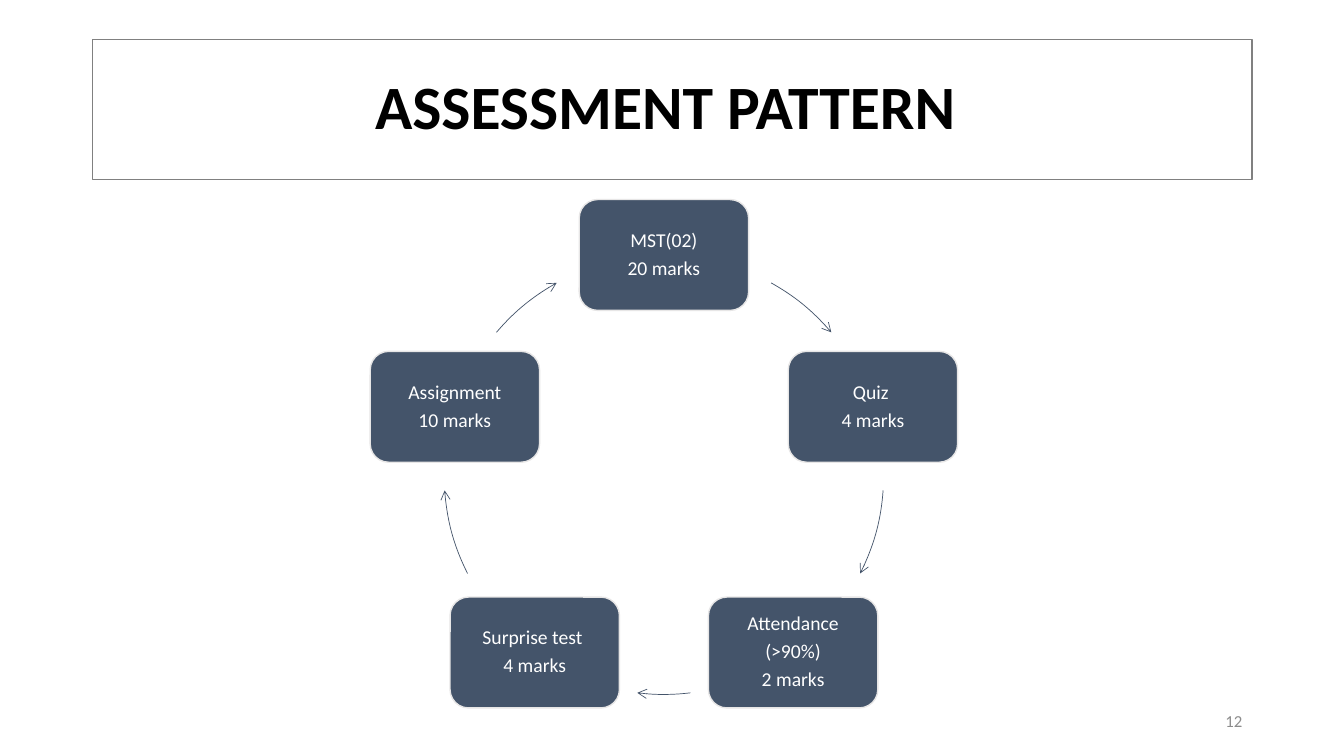
from math import cos, radians, sin

from lxml import etree
from pptx import Presentation, util as u
from pptx.dml.color import RGBColor
from pptx.enum import shapes, text
from pptx.oxml.ns import qn

TITLE = "ASSESSMENT PATTERN "
PAGE = "12"
STEPS = [
    ["MST(02)", "20 marks"],
    ["Quiz ", "4 marks"],
    ["Attendance", "(>90%)", "2 marks"],
    ["Surprise test ", "4 marks"],
    ["Assignment", "10 marks"],
]
# Start and end of each arrow, in degrees clockwise from the right
ARCS = [(-60.8, -40.4), (4.1, 26.7), (83.05, 96.95), (153.3, 175.9), (220.4, 240.8)]

COLORS = {"ink": "000000", "page": "8C8C8C", "frame": "808080",
          "box": "44546A", "edge": "E7E6E6", "label": "FFFFFF"}
FONT = "Calibri"
WIDE, HIGH = 13.33, 7.5
MID_X, MID_Y, RADIUS = 6.585, 4.71, 2.18
BOX_W, BOX_H = 1.68, 1.1
ALIGN = text.PP_ALIGN

deck = Presentation()
deck.slide_width, deck.slide_height = u.Inches(WIDE), u.Inches(HIGH)
slide = deck.slides.add_slide(deck.slide_layouts[6])


def rgb(name):
    return RGBColor.from_string(COLORS[name])


def draw(kind, area, line, width, fill=None):
    shape = slide.shapes.add_shape(kind, *map(u.Inches, area))
    shape.shadow.inherit = False
    if fill:
        shape.fill.solid()
        shape.fill.fore_color.rgb = rgb(fill)
    else:
        shape.fill.background()
    shape.line.color.rgb = rgb(line)
    shape.line.width = u.Pt(width)
    return shape


def write(shape, lines, size, color, align=ALIGN.CENTER, bold=False,
          pitch=0.9, gap=0, inset=0.1):
    frame = shape.text_frame
    frame.word_wrap = True
    frame.vertical_anchor = text.MSO_ANCHOR.MIDDLE
    frame.margin_left = frame.margin_right = u.Inches(inset)
    for i, line in enumerate(lines):
        para = frame.add_paragraph() if i else frame.paragraphs[0]
        para.alignment, para.line_spacing = align, pitch
        para.space_after = u.Pt(gap)
        run = para.add_run()
        run.text = line
        run.font.name, run.font.size, run.font.bold = FONT, u.Pt(size), bold
        run.font.color.rgb = rgb(color)


title = draw(shapes.MSO_SHAPE.RECTANGLE, (0.92, 0.39, 11.5, 1.39), "frame", 1)
write(title, [TITLE], 44, "ink", bold=True)

page = slide.shapes.add_textbox(*map(u.Inches, (9.42, 6.95, 3, 0.4)))
write(page, [PAGE], 12, "page", align=ALIGN.RIGHT, pitch=1.0)

ring = (MID_X - RADIUS, MID_Y - RADIUS, 2 * RADIUS, 2 * RADIUS)
for i, (lines, arc) in enumerate(zip(STEPS, ARCS)):
    turn = radians(360 / len(STEPS) * i - 90)
    left = MID_X + RADIUS * cos(turn) - BOX_W / 2
    top = MID_Y + RADIUS * sin(turn) - BOX_H / 2
    box = draw(shapes.MSO_SHAPE.ROUNDED_RECTANGLE, (left, top, BOX_W, BOX_H),
               "edge", 1, "box")
    write(box, lines, 14, "label", gap=4.9, inset=0.11)

    arrow = draw(shapes.MSO_SHAPE.ARC, ring, "box", 0.5)
    for k, angle in enumerate(arc):
        arrow.adjustments[k] = angle % 360 * 0.6  # 60000ths of a degree / 100000
    etree.SubElement(arrow.line._get_or_add_ln(), qn("a:tailEnd"), type="arrow")

deck.save("out.pptx")
